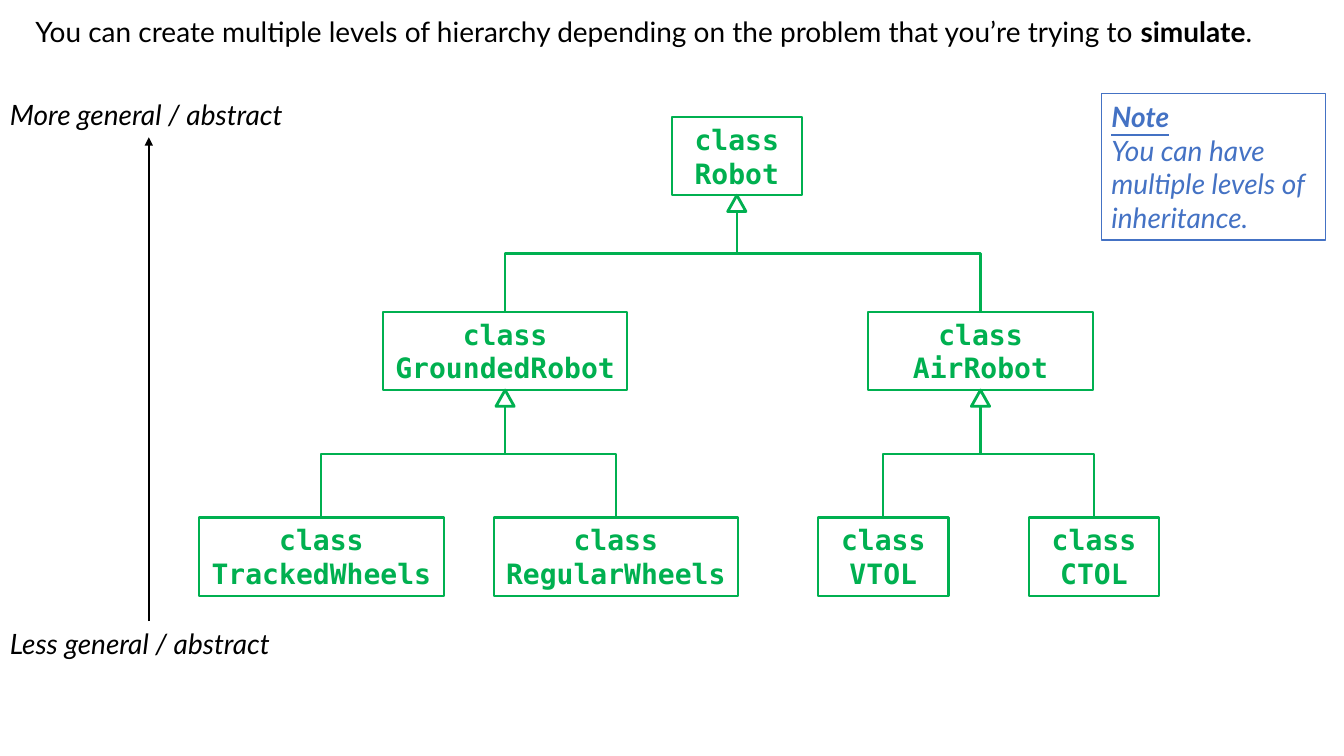
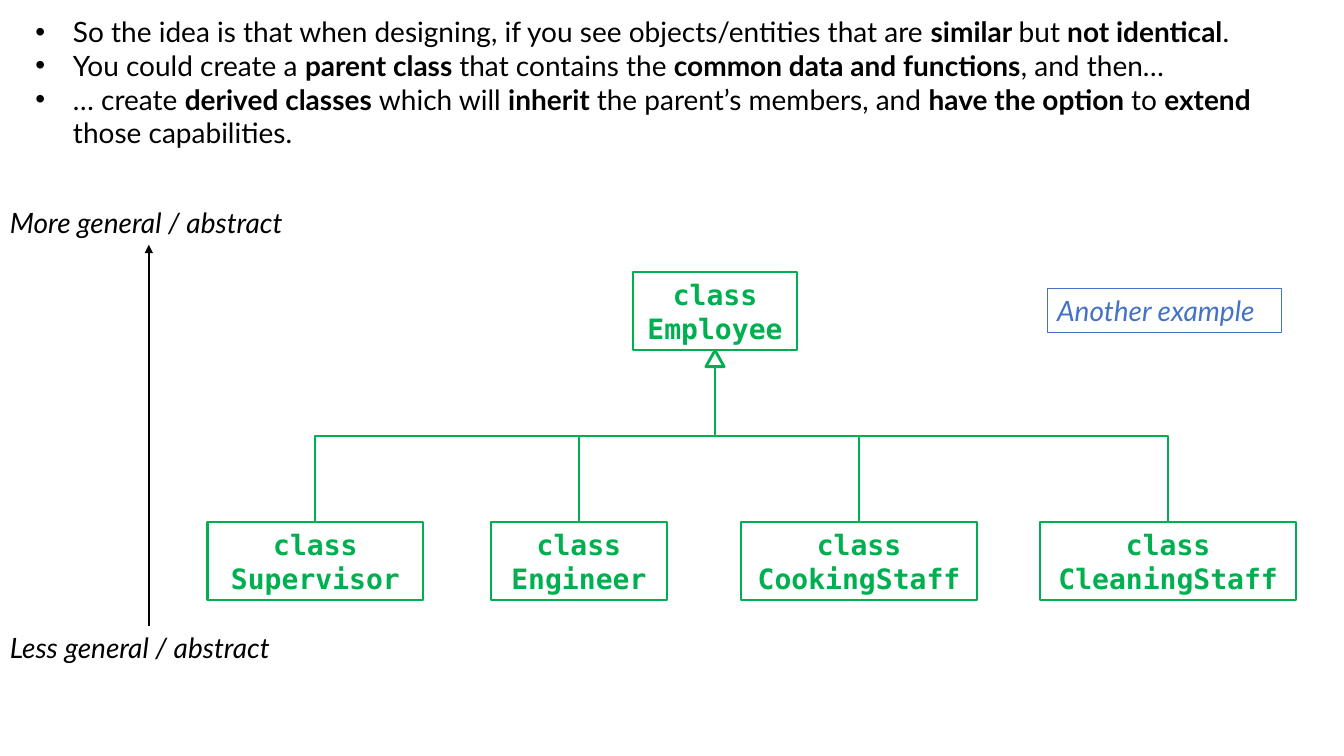
"""Build two slides explaining class hierarchies and inheritance."""
from dataclasses import dataclass

import pptx
import pptx.dml.color
import pptx.enum.shapes
import pptx.enum.text
import pptx.oxml.ns
import pptx.util
from lxml import etree
from pptx.util import Cm, Pt

RGBColor = pptx.dml.color.RGBColor
Shape = pptx.enum.shapes.MSO_SHAPE
Connector = pptx.enum.shapes.MSO_CONNECTOR
Align = pptx.enum.text.PP_ALIGN


@dataclass(frozen=True)
class Theme:
    """Colours, fonts, type size and line widths."""
    ink: RGBColor = RGBColor(0x00, 0x00, 0x00)
    paper: RGBColor = RGBColor(0xFF, 0xFF, 0xFF)
    diagram: RGBColor = RGBColor(0x00, 0xB0, 0x50)
    note: RGBColor = RGBColor(0x44, 0x72, 0xC4)
    body_font: str = "Lato"
    code_font: str = "DejaVu Sans Mono"
    size: Pt = Pt(20)
    line: Pt = Pt(1.5)
    thin_line: Pt = Pt(0.75)
    thick_line: Pt = Pt(2)
    row_height: Cm = Cm(1.12)
    class_height: Cm = Cm(1.97)
    head_width: Cm = Cm(0.46)
    head_height: Cm = Cm(0.41)
    bullet_indent: Cm = Cm(0.95)


THEME = Theme()


@dataclass(frozen=True)
class TextStyle:
    """Look of a block of text, where ** marks emphasis."""
    font: str = THEME.body_font
    color: RGBColor = THEME.ink
    bold: bool = False
    italic: bool = False
    underline_emphasis: bool = False
    align: Align = Align.LEFT
    bullets: bool = False


@dataclass(frozen=True)
class Box:
    """Rectangle on the slide."""
    left: int
    top: int
    width: int
    height: int


@dataclass(frozen=True)
class ClassNode:
    """Class in the hierarchy, placed by its centre line and top."""
    name: str
    center: Cm
    top: Cm
    width: Cm
    children: tuple["ClassNode", ...] = ()


@dataclass(frozen=True)
class HierarchySlide:
    """Content of one slide."""
    intro: tuple[str, ...]
    bullets: bool
    scale_top: Cm
    scale_bottom: Cm
    root: ClassNode
    note: tuple[str, ...]
    note_box: Box


CLASS_STYLE = TextStyle(THEME.code_font, THEME.diagram, bold=True, align=Align.CENTER)
SCALE_STYLE = TextStyle(italic=True)
NOTE_STYLE = TextStyle(color=THEME.note, italic=True, underline_emphasis=True)

ROBOT_MIDDLE, ROBOT_BOTTOM, STAFF_TOP = Cm(7.86), Cm(13.04), Cm(13.16)
ROBOTS = ClassNode("Robot", Cm(18.57), Cm(2.95), Cm(3.29), (
    ClassNode("GroundedRobot", Cm(12.73), ROBOT_MIDDLE, Cm(6.16), (
        ClassNode("TrackedWheels", Cm(8.1), ROBOT_BOTTOM, Cm(6.16)),
        ClassNode("RegularWheels", Cm(15.52), ROBOT_BOTTOM, Cm(6.16)),
    )),
    ClassNode("AirRobot", Cm(24.71), ROBOT_MIDDLE, Cm(5.69), (
        ClassNode("VTOL", Cm(22.26), ROBOT_BOTTOM, Cm(3.29)),
        ClassNode("CTOL", Cm(27.57), ROBOT_BOTTOM, Cm(3.29)),
    )),
))
EMPLOYEES = ClassNode("Employee", Cm(18.02), Cm(6.86), Cm(4.12), (
    ClassNode("Supervisor", Cm(7.95), STAFF_TOP, Cm(5.44)),
    ClassNode("Engineer", Cm(14.59), STAFF_TOP, Cm(4.43)),
    ClassNode("CookingStaff", Cm(21.65), STAFF_TOP, Cm(5.93)),
    ClassNode("CleaningStaff", Cm(29.44), STAFF_TOP, Cm(6.46)),
))

SLIDES = (
    HierarchySlide(
        ("You can create multiple levels of hierarchy depending on the problem "
         "that you’re trying to **simulate**.",),
        False, Cm(2.34), Cm(15.65), ROBOTS,
        ("**Note**", "You can have multiple levels of inheritance."),
        Box(Cm(27.76), Cm(2.36), Cm(5.65), Cm(3.69)),
    ),
    HierarchySlide(
        ("So the idea is that when designing, if you see objects/entities that are "
         "**similar **but **not identical**.",
         "You could create a **parent class **that contains the "
         "**common data and functions**, and then…",
         "… create **derived classes **which will **inherit **the parent’s members, "
         "and **have the option **to **extend **those capabilities."),
        True, Cm(5.05), Cm(15.77), EMPLOYEES,
        ("Another example",),
        Box(Cm(26.39), Cm(7.26), Cm(5.9), THEME.row_height),
    ),
)


def add_bullet(paragraph) -> None:
    """Give a paragraph a hanging bullet."""
    properties = paragraph._p.get_or_add_pPr()
    properties.set("marL", str(THEME.bullet_indent))
    properties.set("indent", str(-THEME.bullet_indent))
    font = etree.SubElement(properties, pptx.oxml.ns.qn("a:buFont"))
    font.set("typeface", "Arial")
    bullet = etree.SubElement(properties, pptx.oxml.ns.qn("a:buChar"))
    bullet.set("char", "•")


def write(shape, lines: tuple[str, ...], style: TextStyle) -> None:
    """Fill a shape with styled paragraphs."""
    frame = shape.text_frame
    frame.word_wrap = True
    frame.auto_size = pptx.enum.text.MSO_AUTO_SIZE.SHAPE_TO_FIT_TEXT
    for index, line in enumerate(lines):
        paragraph = frame.add_paragraph() if index else frame.paragraphs[0]
        paragraph.alignment = style.align
        if style.bullets:
            add_bullet(paragraph)
        for position, text in enumerate(line.split("**")):
            if not text:
                continue
            emphasis = position % 2 == 1
            run = paragraph.add_run()
            run.text = text
            run.font.name = style.font
            run.font.size = THEME.size
            run.font.color.rgb = style.color
            run.font.bold = style.bold or emphasis
            run.font.italic = style.italic
            run.font.underline = style.underline_emphasis and emphasis


def add_text(slide, box: Box, lines: tuple[str, ...], style: TextStyle) -> None:
    """Add a plain text box."""
    shape = slide.shapes.add_textbox(box.left, box.top, box.width, box.height)
    write(shape, lines, style)


def add_outline(slide, kind: Shape, box: Box, color: RGBColor, width: Pt):
    """Add an unfilled outlined shape."""
    shape = slide.shapes.add_shape(kind, box.left, box.top, box.width, box.height)
    shape.shadow.inherit = False
    shape.fill.background()
    shape.line.color.rgb = color
    shape.line.width = width
    return shape


def style_connector(connector, color: RGBColor, arrowhead: str) -> None:
    """Set colour and arrowhead and remove the shadow."""
    connector.line.color.rgb = color
    connector.line.width = THEME.line
    properties = connector._element.spPr
    line = properties.find(pptx.oxml.ns.qn("a:ln"))
    etree.SubElement(line, pptx.oxml.ns.qn("a:tailEnd")).set("type", arrowhead)
    etree.SubElement(properties, pptx.oxml.ns.qn("a:effectLst"))


def connect(slide, child, parent) -> None:
    """Join a child's top to its parent's bottom with an upright elbow."""
    child_x = child.left + child.width // 2
    parent_x = parent.left + parent.width // 2
    parent_bottom = parent.top + parent.height
    middle_x = (child_x + parent_x) // 2
    middle_y = (child.top + parent_bottom) // 2
    child_is_left = child_x < parent_x
    half_rise = (child.top - parent_bottom) // 2 * (1 if child_is_left else -1)
    half_run = abs(parent_x - child_x) // 2
    connector = slide.shapes.add_connector(Connector.ELBOW, 0, 0, 0, 0)
    connector.begin_connect(child, 0)
    connector.end_connect(parent, 2)
    connector.begin_x, connector.begin_y = middle_x + half_rise, middle_y + half_run
    connector.end_x, connector.end_y = middle_x - half_rise, middle_y - half_run
    transform = connector._element.spPr.find(pptx.oxml.ns.qn("a:xfrm"))
    transform.set("rot", str((90 if child_is_left else 270) * 60000))
    style_connector(connector, THEME.diagram, "arrow")


def add_class(slide, node: ClassNode):
    """Draw a class, its descendants and the inheritance lines."""
    box = Box(node.center - node.width // 2, node.top, node.width, THEME.class_height)
    shape = add_outline(slide, Shape.RECTANGLE, box, THEME.diagram, THEME.line)
    write(shape, (f"class {node.name}",), CLASS_STYLE)
    for child in node.children:
        connect(slide, add_class(slide, child), shape)
    if node.children:
        head_box = Box(node.center - THEME.head_width // 2, node.top + THEME.class_height,
                       THEME.head_width, THEME.head_height)
        head = add_outline(slide, Shape.ISOSCELES_TRIANGLE, head_box,
                           THEME.diagram, THEME.thick_line)
        head.fill.solid()
        head.fill.fore_color.rgb = THEME.paper
    return shape


def add_scale(slide, top: Cm, bottom: Cm) -> None:
    """Draw the abstraction arrow between its two labels."""
    for word, label_top in (("More", top), ("Less", bottom)):
        box = Box(Cm(0), label_top, Cm(8.66), THEME.row_height)
        add_text(slide, box, (f"{word} general / abstract",), SCALE_STYLE)
    arrow = slide.shapes.add_connector(
        Connector.STRAIGHT, Cm(3.75), bottom, Cm(3.75), top + THEME.row_height)
    style_connector(arrow, THEME.ink, "triangle")


def build_slide(presentation, content: HierarchySlide) -> None:
    """Add one hierarchy slide."""
    slide = presentation.slides.add_slide(presentation.slide_layouts[6])
    intro_box = Box(Cm(0.64), Cm(0.25), Cm(32.59), THEME.row_height)
    add_text(slide, intro_box, content.intro, TextStyle(bullets=content.bullets))
    add_scale(slide, content.scale_top, content.scale_bottom)
    add_class(slide, content.root)
    note = add_outline(slide, Shape.RECTANGLE, content.note_box, THEME.note, THEME.thin_line)
    write(note, content.note, NOTE_STYLE)


def main() -> None:
    """Build and save the presentation."""
    presentation = pptx.Presentation()
    presentation.slide_width = Cm(33.87)
    presentation.slide_height = Cm(19.05)
    for content in SLIDES:
        build_slide(presentation, content)
    presentation.save("out.pptx")


if __name__ == "__main__":
    main()
